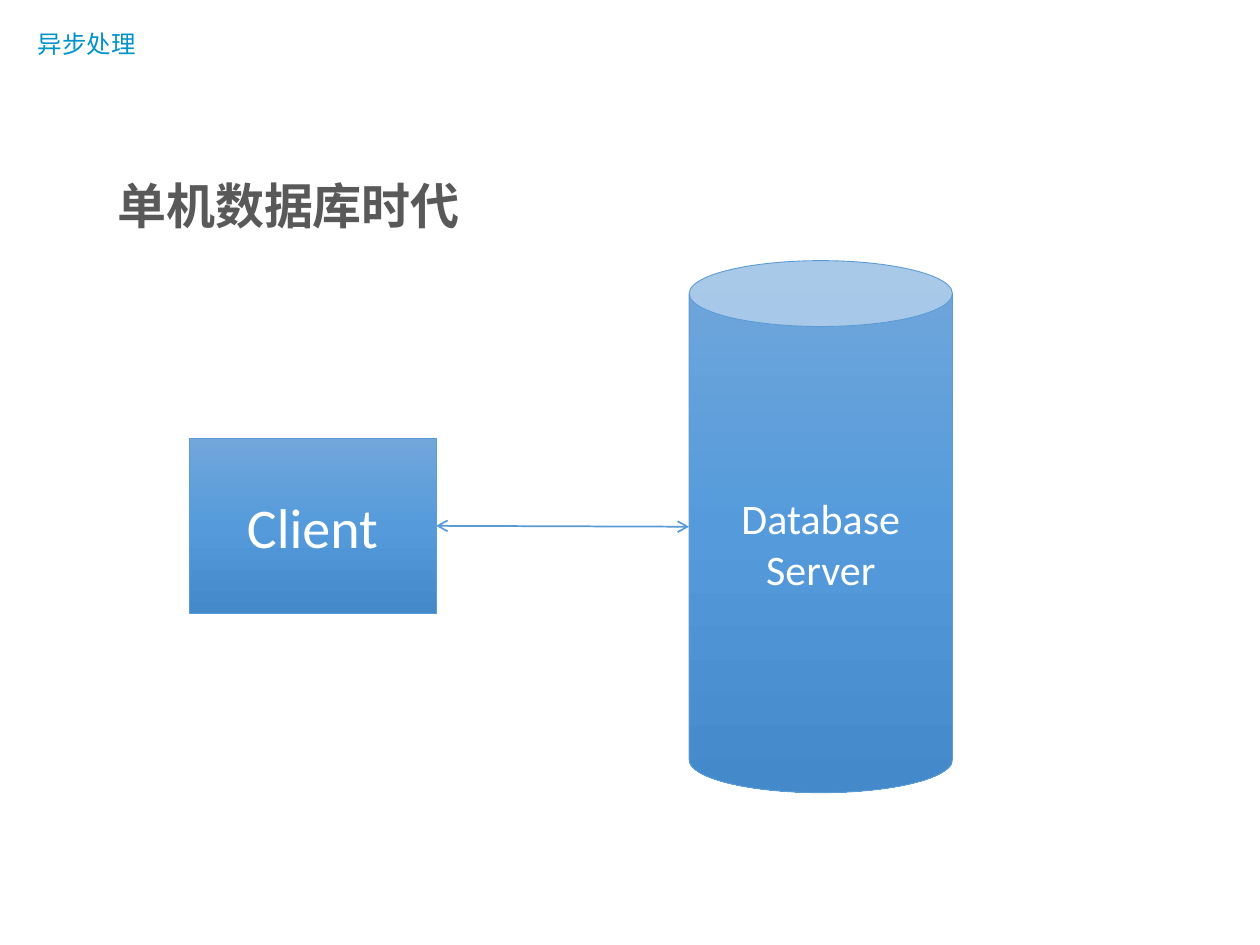
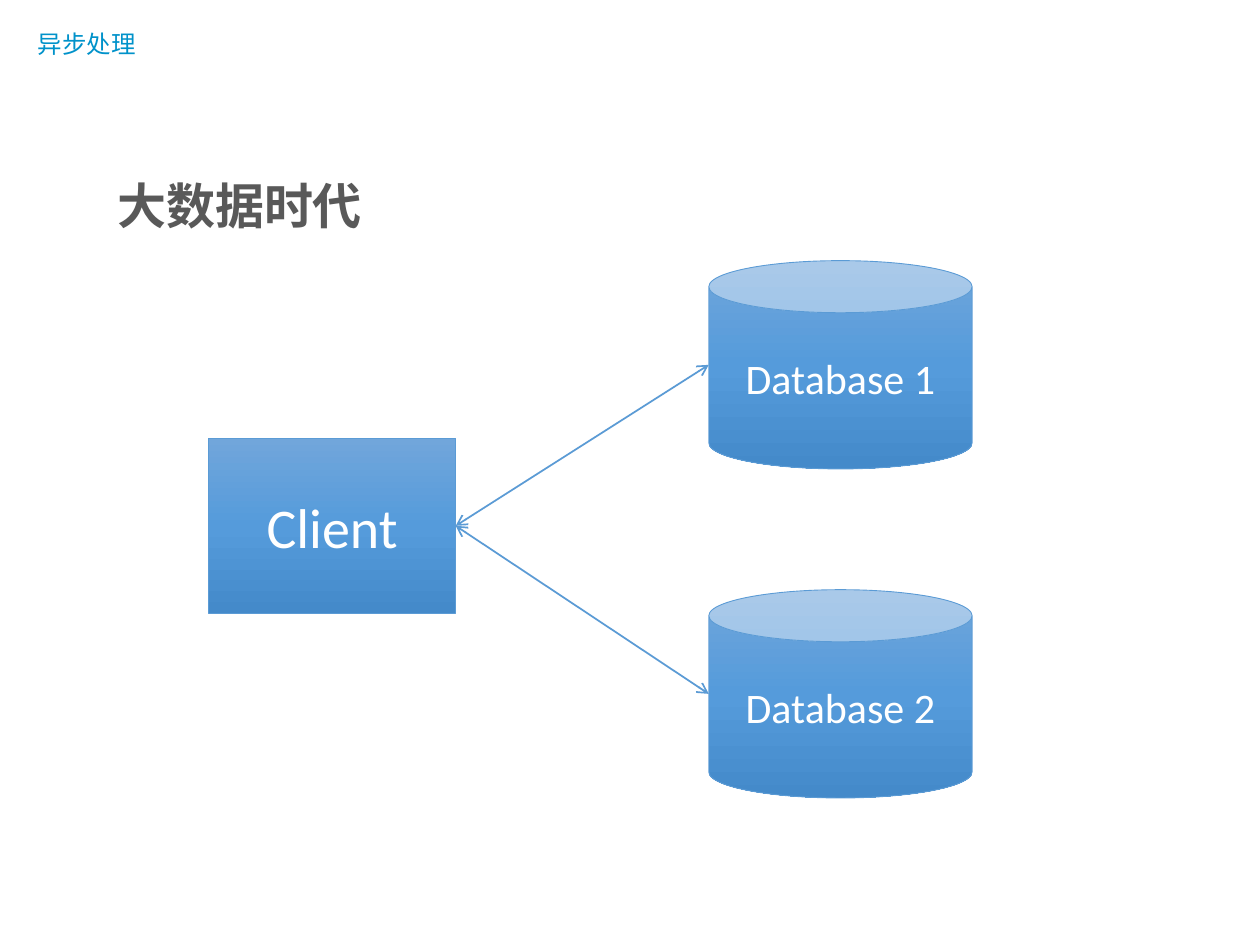
from copy import deepcopy
from pptx import Presentation
from pptx.dml.color import RGBColor as RGB
from pptx.enum.shapes import MSO_CONNECTOR as LINE, MSO_SHAPE as SHAPE
from pptx.enum.text import MSO_ANCHOR as ANCHOR, MSO_AUTO_SIZE as AUTO, PP_ALIGN as ALIGN
from pptx.oxml.ns import qn
from pptx.util import Pt
from lxml.etree import SubElement as sub

WHITE = RGB(0xFF, 0xFF, 0xFF)
CYAN = RGB(0x00, 0x92, 0xCA)
GREY = RGB(0x59, 0x59, 0x59)
EDGE = RGB(0x5B, 0x9B, 0xD5)
FADE = (RGB(0x71, 0xA6, 0xDB), RGB(0x55, 0x9B, 0xDB), RGB(0x44, 0x8A, 0xCA))

TOPIC = "异步处理"
NODE_W, NODE_H = 141.2, 100
CAN_W = 150.5
NODE_TOP = 101.5


def write(frame, lines, size, font, color, align=ALIGN.LEFT, bold=False):
    """Fill a text frame with one paragraph for each line."""
    for i, line in enumerate(lines):
        para = frame.add_paragraph() if i else frame.paragraphs[0]
        para.alignment = align
        run = para.add_run()
        run.text = line
        run.font.size = Pt(size)
        run.font.name = font
        run.font.bold = bold
        run.font.color.rgb = color


def label(shape, box, text, size, font, color, bold=False):
    """Place a shape as a single-line label that grows with its text."""
    shape.left, shape.top, shape.width, shape.height = map(Pt, box)
    frame = shape.text_frame
    frame.word_wrap = False
    frame.auto_size = AUTO.SHAPE_TO_FIT_TEXT
    frame.vertical_anchor = ANCHOR.TOP
    write(frame, [text], size, font, color, bold=bold)


def node(slide, kind, box, lines, size):
    """Draw a shaded shape with centred white text."""
    shape = slide.shapes.add_shape(kind, *map(Pt, box))
    shape.shadow.inherit = False
    shape.fill.gradient()
    stops = next(shape.element.iter(qn("a:gsLst")))
    stops.append(deepcopy(stops[-1]))
    for i, (stop, color) in enumerate(zip(shape.fill.gradient_stops, FADE)):
        stop.position = i / 2
        stop.color.rgb = color
    shape.fill.gradient_angle = 270
    shape.line.color.rgb = EDGE
    shape.line.width = Pt(0.5)
    shape.text_frame.word_wrap = True
    shape.text_frame.vertical_anchor = ANCHOR.MIDDLE
    write(shape.text_frame, lines, size, "Calibri", WHITE, ALIGN.CENTER)
    return shape


def link(slide, client, can):
    """Join the client's right side to the can's left side, arrows at both ends."""
    wire = slide.shapes.add_connector(LINE.STRAIGHT, 0, 0, 0, 0)
    wire.begin_connect(client, 3)
    wire.end_connect(can, 2)
    wire.end_x = can.left
    wire.end_y = can.top + can.height // 2
    wire.line.color.rgb = EDGE
    wire.line.width = Pt(1)
    for end in ("a:headEnd", "a:tailEnd"):
        sub(wire.line._get_or_add_ln(), qn(end), type="arrow")
    sub(wire.element.spPr, qn("a:effectLst"))


def chart(slide, box, stores, can_h):
    """Draw a client at the left of the box and spread its stores down the right."""
    left, top, width, height = box
    client = node(slide, SHAPE.RECTANGLE, (left, top + NODE_TOP, NODE_W, NODE_H),
                  ["Client"], 32)
    step = (height - can_h) / max(len(stores) - 1, 1)
    for i, lines in enumerate(stores):
        spot = (left + width - CAN_W, top + i * step, CAN_W, can_h)
        link(slide, client, node(slide, SHAPE.CAN, spot, lines, 24))


def page(deck, title, width):
    """Add a slide with the topic label and its title."""
    slide = deck.slides.add_slide(deck.slide_layouts[5])
    topic = slide.shapes.add_textbox(0, 0, 0, 0)
    label(topic, (14.4, 13, 71.3, 24.5), TOPIC, 14, "Arial", CYAN)
    label(slide.shapes.title, (59.8, 96.5, width, 41), title, 28, "Calibri", GREY, True)
    return slide


deck = Presentation()
deck.slide_width, deck.slide_height = Pt(720), Pt(540)

single = page(deck, "单机数据库时代", 213)
chart(single, (108, 149, 436.3, 304), [["Database", "Server"]], 304)

multi = page(deck, "大数据时代", 156.2)
chart(multi, (119.2, 149, 436.3, 307), [["Database 1"], ["Database 2"]], 119)

deck.save("out.pptx")
